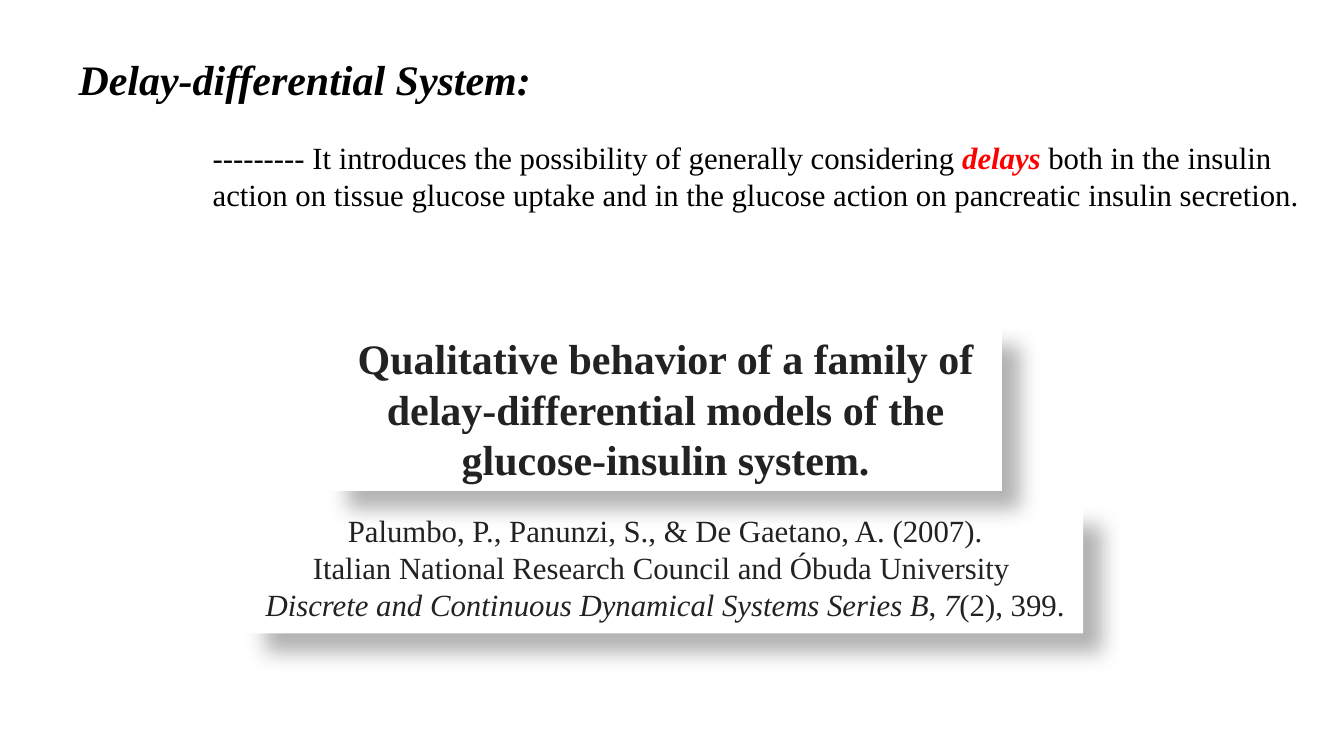
from dataclasses import dataclass
from typing import Optional

from lxml.etree import SubElement
from pptx import Presentation
from pptx.dml.color import RGBColor
from pptx.enum.shapes import MSO_SHAPE as Preset
from pptx.enum.text import MSO_ANCHOR as Anchor, PP_ALIGN as Align
from pptx.oxml.ns import qn
from pptx.shapes.autoshape import Shape
from pptx.shapes.shapetree import GroupShapes
from pptx.text.text import TextFrame
from pptx.util import Cm, Pt


@dataclass(frozen=True)
class Theme:
    font: str = "Times New Roman"
    black: str = "000000"
    ink: str = "222222"
    accent: str = "FF0000"
    paper: str = "FFFFFF"
    heading_size: int = 30
    body_size: int = 22


THEME = Theme()


@dataclass(frozen=True)
class Span:
    text: str
    bold: bool = False
    italic: bool = False
    color: Optional[str] = None


@dataclass(frozen=True)
class Box:
    """A rectangle measured in centimetres."""
    left: float
    top: float
    width: float
    height: float

    def lengths(self) -> tuple[Cm, Cm, Cm, Cm]:
        return Cm(self.left), Cm(self.top), Cm(self.width), Cm(self.height)


@dataclass(frozen=True)
class Card:
    box: Box
    lines: list[list[Span]]
    size: int


def write_text(frame: TextFrame, lines: list[list[Span]], *, size: int,
               color: str, align: Align = Align.LEFT,
               anchor: Anchor = Anchor.TOP, line_spacing: float = 1.0) -> None:
    """Fill the frame with one paragraph per line."""
    frame.word_wrap = True
    frame.vertical_anchor = anchor
    for index, spans in enumerate(lines):
        paragraph = frame.add_paragraph() if index else frame.paragraphs[0]
        paragraph.alignment = align
        paragraph.line_spacing = line_spacing
        for span in spans:
            run = paragraph.add_run()
            run.text = span.text
            run.font.name = THEME.font
            run.font.size = Pt(size)
            run.font.bold = span.bold
            run.font.italic = span.italic
            run.font.color.rgb = RGBColor.from_string(span.color or color)


def cast_shadow(shape: Shape) -> None:
    """Give the shape a soft shadow towards the lower right."""
    shape.shadow.inherit = False
    effects = shape.element.spPr.find(qn("a:effectLst"))
    shadow = SubElement(effects, qn("a:outerShdw"), blurRad=str(Pt(15)),
                        dist=str(Pt(18)), dir="2700000", algn="tl", rotWithShape="0")
    tint = SubElement(shadow, qn("a:srgbClr"), val=THEME.black)
    SubElement(tint, qn("a:alpha"), val="30000")


def draw_card(shapes: GroupShapes, card: Card) -> None:
    panel = shapes.add_shape(Preset.RECTANGLE, *card.box.lengths())
    panel.fill.solid()
    panel.fill.fore_color.rgb = RGBColor.from_string(THEME.paper)
    panel.line.fill.background()
    cast_shadow(panel)
    write_text(panel.text_frame, card.lines, size=card.size,
               color=THEME.ink, align=Align.CENTER)


HEADING = [[Span("Delay-differential System:", bold=True, italic=True)]]
SUMMARY = [[
    Span("--------- It introduces the possibility of generally considering "),
    Span("delays ", bold=True, italic=True, color=THEME.accent),
    Span("both in the insulin action on tissue glucose uptake and in the "
         "glucose action on pancreatic insulin secretion."),
]]
CARDS = [
    Card(Box(6.22, 12.78, 21.08, 3.18), [
        [Span("Palumbo, P., Panunzi, S., & De Gaetano, A. (2007).")],
        [Span("Italian National Research Council and Óbuda University ")],
        [Span("Discrete and Continuous Dynamical Systems Series B", italic=True),
         Span(", "), Span("7", italic=True), Span("(2), 399.")],
    ], THEME.body_size),
    Card(Box(8.31, 8.26, 16.94, 4.11), [
        [Span("Qualitative behavior of a family of delay-differential models "
              "of the glucose-insulin system.", bold=True)],
    ], THEME.heading_size),
]


def main() -> None:
    deck = Presentation()
    deck.slide_width, deck.slide_height = Cm(33.87), Cm(19.05)
    slide = deck.slides.add_slide(deck.slide_layouts[6])

    heading = slide.shapes.add_textbox(*Box(1.73, 1.24, 12.37, 1.63).lengths())
    write_text(heading.text_frame, HEADING, size=THEME.heading_size,
               color=THEME.black, anchor=Anchor.MIDDLE, line_spacing=0.9)
    summary = slide.shapes.add_textbox(*Box(5.11, 3.38, 28.32, 3.07).lengths())
    write_text(summary.text_frame, SUMMARY, size=THEME.body_size, color=THEME.black)

    reference = slide.shapes.add_group_shape()
    for card in CARDS:
        draw_card(reference.shapes, card)
    deck.save("out.pptx")


if __name__ == "__main__":
    main()
